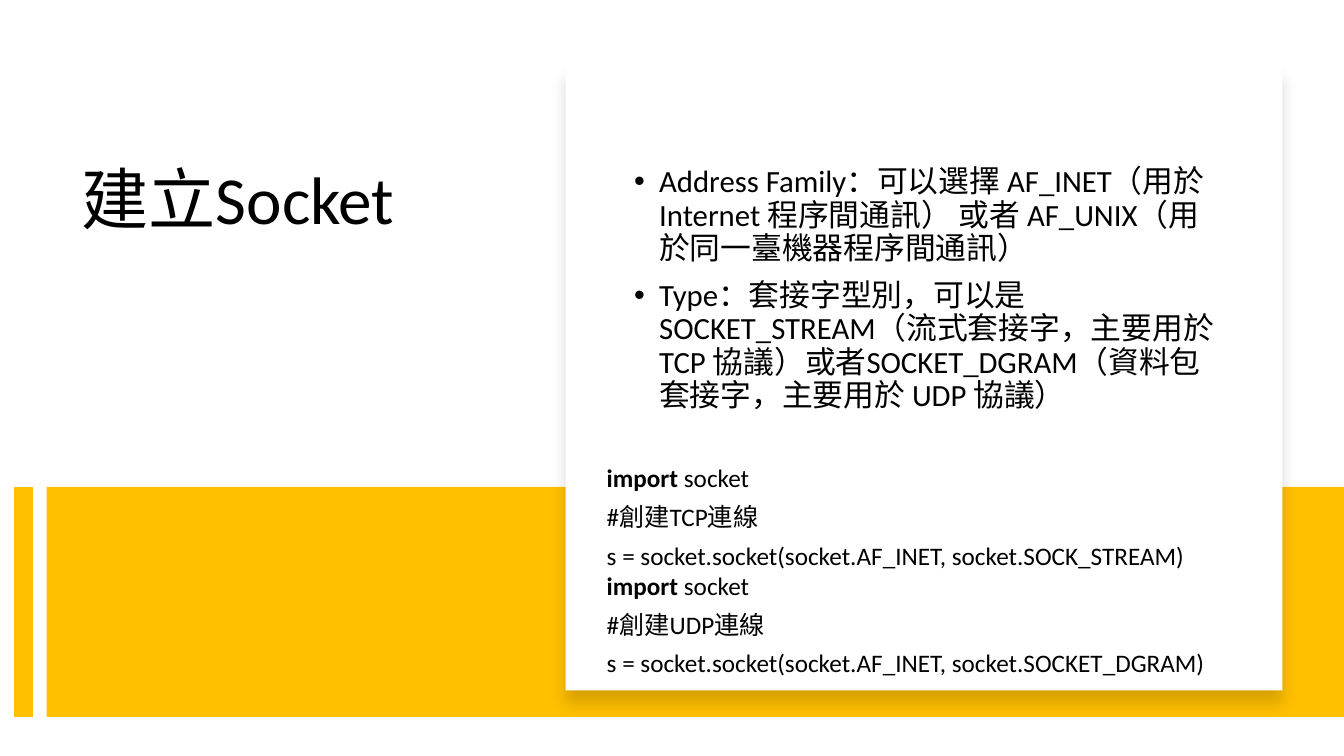
from lxml import etree
from pptx import Presentation
from pptx.dml.color import RGBColor
from pptx.enum.shapes import MSO_CONNECTOR, MSO_SHAPE
from pptx.enum.text import MSO_ANCHOR
from pptx.oxml import parse_xml
from pptx.oxml.ns import qn
from pptx.util import Pt

STRAIGHT = MSO_CONNECTOR.STRAIGHT
RECTANGLE = MSO_SHAPE.RECTANGLE
TOP = MSO_ANCHOR.TOP
NAMESPACE = 'xmlns:a="http://schemas.openxmlformats.org/drawingml/2006/main"'
FONT = "Calibri"
BLACK, WHITE, GOLD = "000000", "FFFFFF", "FFC000"

BULLETS = [
    "Address Family：可以選擇 AF_INET（用於 Internet 程序間通訊） 或者 AF_UNIX（用於同一臺機器程序間通訊）",
    "Type：套接字型別，可以是 SOCKET_STREAM（流式套接字，主要用於 TCP 協議）或者SOCKET_DGRAM（資料包套接字，主要用於 UDP 協議）",
]
SNIPPETS = [("TCP", "SOCK_STREAM"), ("UDP", "SOCKET_DGRAM")]


def color(value):
    return RGBColor.from_string(value)


def add_rectangle(page, box, fill):
    shape = page.shapes.add_shape(RECTANGLE, *map(Pt, box))
    shape.shadow.inherit = False
    shape.fill.solid()
    shape.fill.fore_color.rgb = color(fill)
    shape.line.fill.background()
    return shape


def add_text(page, box, paragraphs, size):
    """Each paragraph is a list of (text, bold) spans; returns the paragraphs."""
    frame = page.shapes.add_textbox(*map(Pt, box)).text_frame
    frame.word_wrap = True
    frame.vertical_anchor = TOP
    for index, spans in enumerate(paragraphs):
        para = frame.add_paragraph() if index else frame.paragraphs[0]
        for text, bold in spans:
            span = para.add_run()
            span.text = text
            span.font.name = FONT
            span.font.size = Pt(size)
            span.font.bold = bold
            span.font.color.rgb = color(BLACK)
    return frame.paragraphs


def add_band(page, box):
    left, top, width, height = box
    # Gold band, reaching the right edge of the page
    add_rectangle(page, box, GOLD)
    # Thick stripe to the left of the band
    x = left - 16.6
    stripe = page.shapes.add_connector(STRAIGHT, Pt(x), Pt(top), Pt(x), Pt(top + height))
    stripe.line.color.rgb = color(GOLD)
    stripe.line.width = Pt(14)
    etree.SubElement(stripe.element.spPr, qn("a:effectLst"))


def add_title(page, box):
    for para in add_text(page, box, [[("建立Socket", False)]], 48):
        para.line_spacing = 0.9


def add_bullets(page, box):
    for para in add_text(page, box, [[(text, False)] for text in BULLETS], 22):
        para.line_spacing = 0.9
        para.space_before = Pt(10)
        properties = para._p.get_or_add_pPr()
        properties.set("marL", str(Pt(18)))
        properties.set("indent", str(Pt(-18)))
        properties.append(parse_xml(f'<a:buFont {NAMESPACE} typeface="Arial"/>'))
        properties.append(parse_xml(f'<a:buChar {NAMESPACE} char="•"/>'))


def add_snippet(page, box, protocol, kind):
    lines = [
        [("import", True), (" socket", False)],
        [(f"#創建{protocol}連線", False)],
        [(f"s = socket.socket(socket.AF_INET, socket.{kind})", False)],
    ]
    for para in add_text(page, box, lines, 18):
        para.space_after = Pt(6)


def add_card(page, box):
    left, top, width, height = box
    # White card with a soft shadow below it
    card = add_rectangle(page, box, WHITE)
    effects = card.element.spPr.find(qn("a:effectLst"))
    effects.append(parse_xml(
        f'<a:outerShdw {NAMESPACE} blurRad="{Pt(11)}" dist="{Pt(10)}" dir="5400000" '
        f'algn="t" rotWithShape="0"><a:srgbClr val="{BLACK}"><a:alpha val="15000"/>'
        '</a:srgbClr></a:outerShdw>'))
    # Explanation, then one code snippet per protocol
    add_bullets(page, (left + 41.8, top + 69.1, 436.3, 338.4))
    for index, (protocol, kind) in enumerate(SNIPPETS):
        snippet_box = (left + 22.3, top + 280.8 + 77 * index, 474.5, 113)
        add_snippet(page, snippet_box, protocol, kind)


def main():
    deck = Presentation()
    deck.slide_width, deck.slide_height = Pt(960), Pt(540)
    page = deck.slides.add_slide(deck.slide_layouts[6])
    add_title(page, (51.1, 115.2, 298.8, 211.7))
    add_band(page, (33.3, 347.8, 926.7, 164.2))
    add_card(page, (404, 46.1, 512, 447.1))
    deck.save("out.pptx")


if __name__ == "__main__":
    main()
